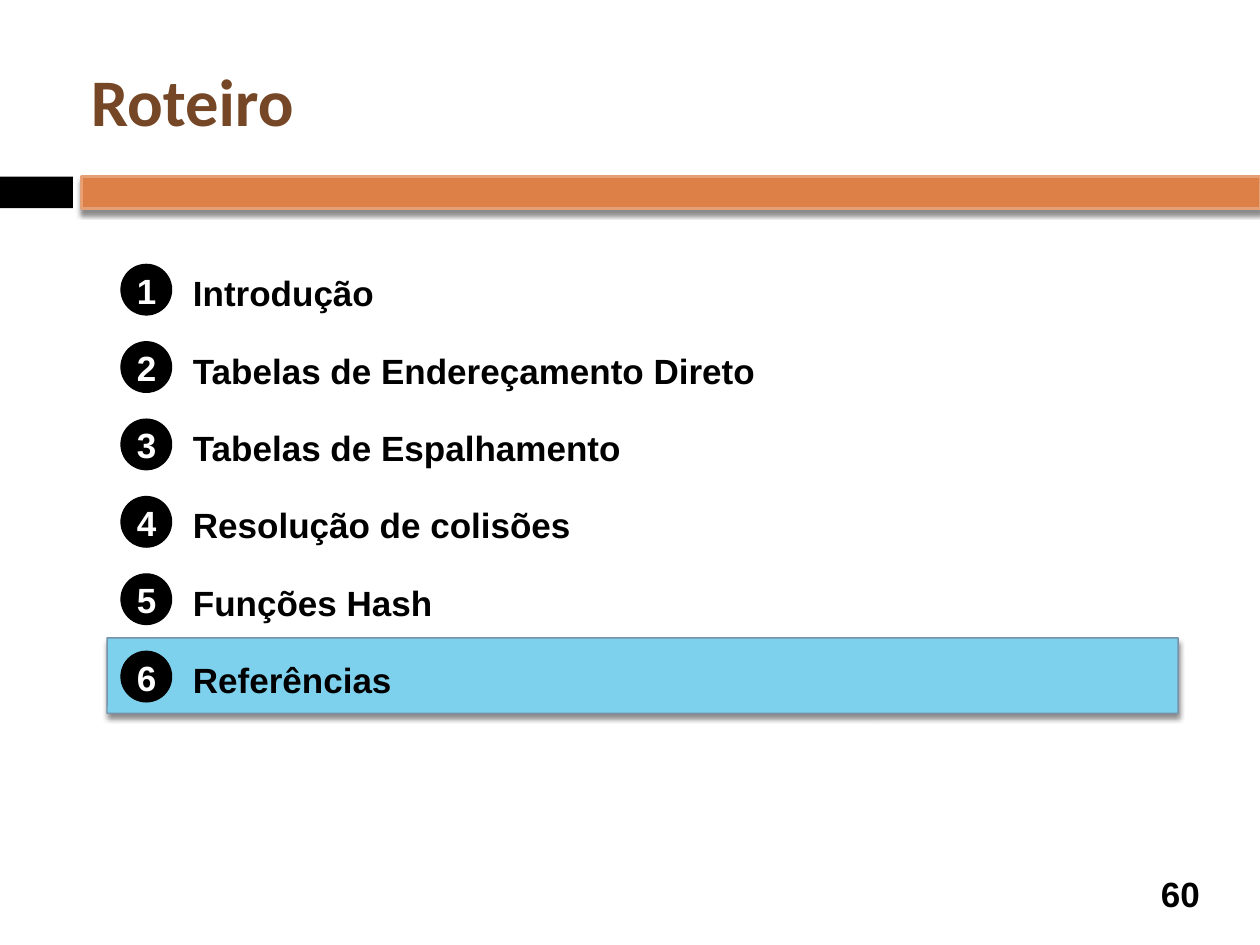
from dataclasses import dataclass
from lxml.etree import SubElement
from pptx import Presentation
from pptx.dml.color import RGBColor
from pptx.enum.shapes import MSO_SHAPE
from pptx.enum.text import MSO_ANCHOR, MSO_AUTO_SIZE, PP_ALIGN
from pptx.oxml.ns import qn
from pptx.util import Cm, Pt


@dataclass(frozen=True)
class Theme:
    black: str = "000000"
    white: str = "FFFFFF"
    brown: str = "754726"
    orange: str = "DD8047"
    peach: str = "E5A075"
    sky: str = "7ED1EC"
    slate: str = "7692A8"
    head: int = 38
    body: int = 20
    sans: str = "Arial"
    title: str = "Calibri"


LOOK = Theme()
ITEMS = [
    ("Introdução", 3.94),
    ("Tabelas de Endereçamento Direto", 11.61),
    ("Tabelas de Espalhamento", 8.89),
    ("Resolução de colisões", 7.9),
    ("Funções Hash", 5.11),
    ("Referências", 4.29),
]
ACTIVE = 5
PITCH = 1.56
DOT = 1.02
LINE = 1.04


def apply(target, values):
    for name, value in values.items():
        setattr(target, name, value)


def place(shape, box):
    sides = ("left", "top", "width", "height")
    apply(shape, dict(zip(sides, map(Cm, box))))


def write(shape, text, color, size=LOOK.body, font=LOOK.sans,
          align=PP_ALIGN.LEFT, **form):
    frame = shape.text_frame
    frame.text = text
    sides = ("left", "top", "right", "bottom")
    apply(frame, {f"margin_{side}": Cm(0.13) for side in sides})
    apply(frame, form)
    para = frame.paragraphs[0]
    para.alignment = align
    run = para.runs[0].font
    apply(run, {"name": font, "size": Pt(size), "bold": True})
    run.color.rgb = RGBColor.from_string(color)


def label(shapes, box, text, color, **form):
    field = shapes.add_textbox(*map(Cm, box))
    write(field, text, color, **form)


def block(shapes, kind, box, fill, line=None, width=0.75, shade=False):
    shape = shapes.add_shape(kind, *map(Cm, box))
    shape.shadow.inherit = False
    shape.fill.solid()
    shape.fill.fore_color.rgb = RGBColor.from_string(fill)
    if line:
        shape.line.color.rgb = RGBColor.from_string(line)
        shape.line.width = Pt(width)
    else:
        shape.line.fill.background()
    if shade:
        effect = shape._element.spPr.find(qn("a:effectLst"))
        outer = SubElement(effect, qn("a:outerShdw"), blurRad=str(Pt(3)),
                           dist=str(Pt(2.4)), dir="5400000", rotWithShape="0")
        tint = SubElement(outer, qn("a:srgbClr"), val=LOOK.black)
        SubElement(tint, qn("a:alpha"), val="45000")
    return shape


def header(slide, box):
    left, top, width, height = box
    bar = 0.64
    base = top + height - bar
    block(slide.shapes, MSO_SHAPE.RECTANGLE, (left, base, 1.47, bar), LOOK.black)
    block(slide.shapes, MSO_SHAPE.RECTANGLE,
          (left + 1.65, base, width - 1.65, bar),
          LOOK.orange, LOOK.peach, 1.5, True)
    title = slide.shapes.title
    place(title, (left + 1.7, top + 0.64, 22.66, 2.74))
    write(title, "Roteiro", LOOK.brown, LOOK.head, LOOK.title,
          vertical_anchor=MSO_ANCHOR.MIDDLE)


def badge(slide, box, text):
    left, top, size = box
    group = slide.shapes.add_group_shape()
    block(group.shapes, MSO_SHAPE.OVAL, (left, top, size, size),
          LOOK.black, LOOK.black)
    label(group.shapes, (left + 0.17, top, 0.69, LINE), text, LOOK.white,
          align=PP_ALIGN.CENTER, vertical_anchor=MSO_ANCHOR.MIDDLE,
          word_wrap=False, auto_size=MSO_AUTO_SIZE.SHAPE_TO_FIT_TEXT)


def agenda(slide, box):
    left, top, width = box
    band = block(slide.shapes, MSO_SHAPE.ROUNDED_RECTANGLE,
                 (left, top + ACTIVE * PITCH - 0.27, width, 1.52),
                 LOOK.sky, LOOK.slate, 0.79, True)
    band.adjustments[0] = 0.003
    for index, (text, span) in enumerate(ITEMS):
        row = top + index * PITCH
        badge(slide, (left + 0.28, row, DOT), str(index + 1))
        label(slide.shapes, (left + 1.6, row + 0.02, span, LINE), text,
              LOOK.black, word_wrap=False,
              auto_size=MSO_AUTO_SIZE.SHAPE_TO_FIT_TEXT)


def footer(slide, box):
    label(slide.shapes, box, "60", LOOK.black, align=PP_ALIGN.CENTER,
          vertical_anchor=MSO_ANCHOR.MIDDLE, word_wrap=True)


def main():
    deck = Presentation()
    apply(deck, {"slide_width": Cm(25.4), "slide_height": Cm(19.05)})
    slide = deck.slides.add_slide(deck.slide_layouts[5])
    header(slide, (0, 0, 25.4, 4.2))
    agenda(slide, (2.16, 5.33, 21.59))
    footer(slide, (23.06, 17.5, 1.47, LINE))
    deck.save("out.pptx")


if __name__ == "__main__":
    main()
